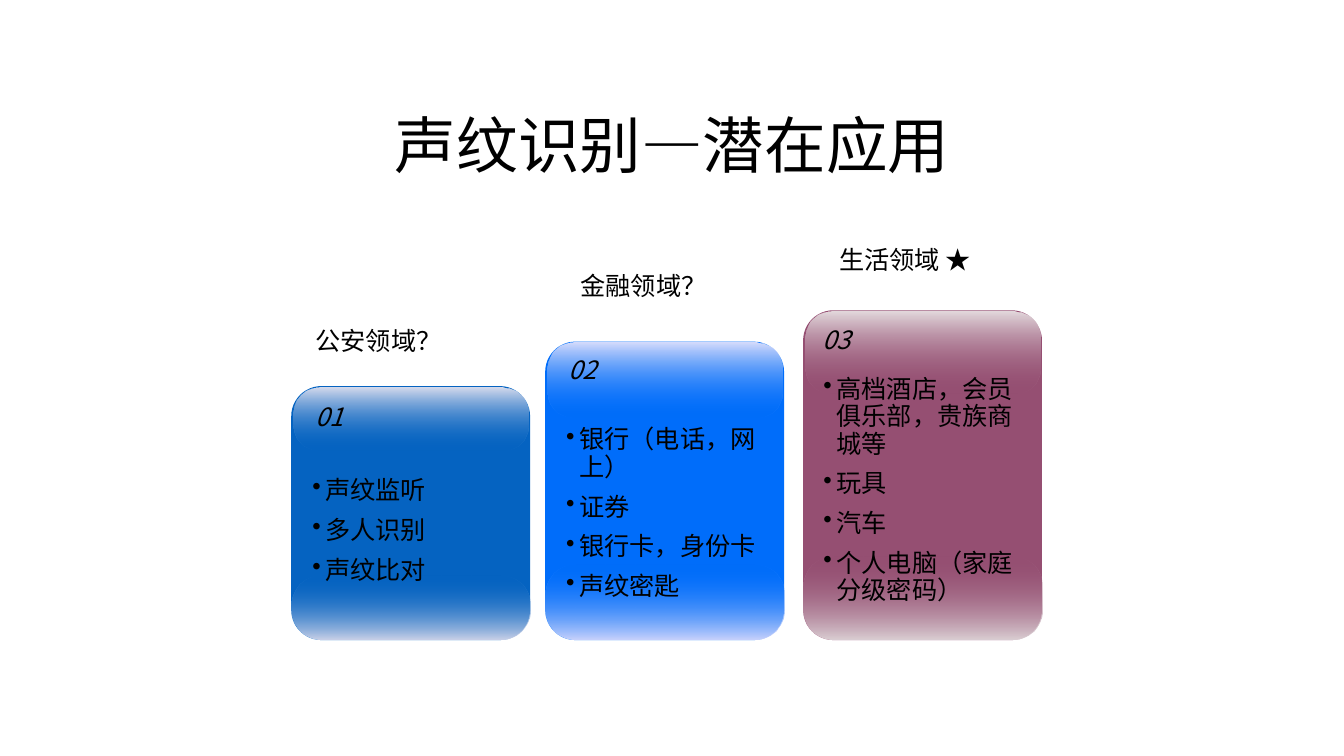
import pptx
import pptx.dml.color
import pptx.enum.shapes
import pptx.enum.text
import pptx.util
from pptx.oxml.ns import qn
from lxml import etree

Cm = pptx.util.Cm
Pt = pptx.util.Pt
FONT = "Noto Sans CJK SC"
COLORS = {
    "text": "000000",
    "police": "0563C1", "police_top": "D6DBED", "police_bottom": "CAD1E8",
    "finance": "006DFA", "finance_top": "D6DCFD", "finance_bottom": "CAD3FD",
    "life": "954F72", "life_top": "E3D9DD", "life_bottom": "DBCFD4",
}
CARD_WIDTH = 6.02
CARD_BOTTOM = 16.13
CORNER_RADIUS = 0.76
# Positions are (left, top) in cm; body is (left, top, width).
CARDS = [
    {"color": "police", "number": "01", "at": (7.34, 9.73),
     "number_at": (7.7, 9.98), "body": (7.62, 11.91, 5.44),
     "label": "公安领域？", "label_at": (7.7, 8.08),
     "items": ["声纹监听", "多人识别", "声纹比对"]},
    {"color": "finance", "number": "02", "at": (13.74, 8.61),
     "number_at": (14.07, 8.81), "body": (14.02, 10.64, 5.69),
     "label": "金融领域？", "label_at": (14.38, 6.68),
     "items": ["银行（电话，网上）", "证券", "银行卡，身份卡", "声纹密匙"]},
    {"color": "life", "number": "03", "at": (20.24, 7.82),
     "number_at": (20.47, 8.05), "body": (20.5, 9.37, 5.74),
     "label": "生活领域 ★", "label_at": (20.9, 6.02),
     "items": ["高档酒店，会员俱乐部，贵族商城等", "玩具", "汽车",
               "个人电脑（家庭分级密码）"]},
]


def rgb(name):
    return pptx.dml.color.RGBColor.from_string(COLORS[name])


def set_attributes(target, values):
    for name, value in values.items():
        setattr(target, name, value)


def add_bullet(paragraph):
    properties = paragraph._p.get_or_add_pPr()
    properties.set("marL", str(Cm(0.33)))
    properties.set("indent", str(-Cm(0.33)))
    etree.SubElement(properties, qn("a:buChar")).set("char", "•")


def add_text(slide, lines, left, top, width, height, size=18, bullets=False,
             frame_format=None, paragraph_format=None, font_format=None):
    box = slide.shapes.add_textbox(Cm(left), Cm(top), Cm(width), Cm(height))
    frame = box.text_frame
    set_attributes(frame, {"word_wrap": True, **(frame_format or {})})
    for index, line in enumerate(lines):
        paragraph = frame.paragraphs[0] if index == 0 else frame.add_paragraph()
        if bullets:
            add_bullet(paragraph)
        if index:
            paragraph.space_before = Pt(9)
        set_attributes(paragraph, paragraph_format or {})
        run = paragraph.add_run()
        run.text = line
        set_attributes(run.font, {"name": FONT, "size": Pt(size),
                                  **(font_format or {})})
        run.font.color.rgb = rgb("text")


def add_rounded(slide, left, top, width, height, radius):
    shape = slide.shapes.add_shape(
        pptx.enum.shapes.MSO_SHAPE.ROUNDED_RECTANGLE,
        Cm(left), Cm(top), Cm(width), Cm(height))
    shape.adjustments[0] = radius / min(width, height)
    shape.shadow.inherit = False
    shape.line.fill.background()
    return shape


def fade(shape, colors, clear_stop):
    """Fill from top to bottom, with one stop fully transparent."""
    shape.fill.gradient()
    shape.fill.gradient_angle = 270
    for stop, color in zip(shape.fill.gradient_stops, colors):
        stop.color.rgb = rgb(color)
    stops = list(shape._element.spPr.iter(qn("a:srgbClr")))
    etree.SubElement(stops[clear_stop], qn("a:alpha")).set("val", "0")


def add_card(slide, card):
    left, top = card["at"]
    color = card["color"]
    height = CARD_BOTTOM - top
    band = height / 4
    base = add_rounded(slide, left, top, CARD_WIDTH, height, CORNER_RADIUS)
    base.fill.solid()
    base.fill.fore_color.rgb = rgb(color)
    lower = add_rounded(slide, left, CARD_BOTTOM - band - 0.02, CARD_WIDTH,
                        band, CORNER_RADIUS)
    fade(lower, (color, color + "_bottom"), 0)
    upper = add_rounded(slide, left + 0.05, top + 0.03, CARD_WIDTH - 0.1,
                        band, CORNER_RADIUS - 0.1)
    fade(upper, (color + "_top", color), 1)


def add_card_text(slide, card):
    add_text(slide, [card["number"]], *card["number_at"], 1.27, 1.19,
             frame_format={"word_wrap": False}, font_format={"italic": True})
    left, top, width = card["body"]
    add_text(slide, card["items"], left, top, width, 15.5 - top, bullets=True,
             paragraph_format={"line_spacing": 0.9})
    add_text(slide, [card["label"]], *card["label_at"], 5.33, 1.02)


def main():
    presentation = pptx.Presentation()
    set_attributes(presentation, {"slide_width": Cm(33.87),
                                  "slide_height": Cm(19.05)})
    slide = presentation.slides.add_slide(presentation.slide_layouts[6])
    add_text(slide, ["声纹识别—潜在应用"], 2.34, 1.02, 29.21, 3.68, size=44,
             frame_format={"vertical_anchor": pptx.enum.text.MSO_ANCHOR.BOTTOM},
             paragraph_format={"alignment": pptx.enum.text.PP_ALIGN.CENTER,
                               "line_spacing": 0.9})
    for card in reversed(CARDS):
        add_card(slide, card)
    for card in CARDS:
        add_card_text(slide, card)
    presentation.save("out.pptx")


if __name__ == "__main__":
    main()
